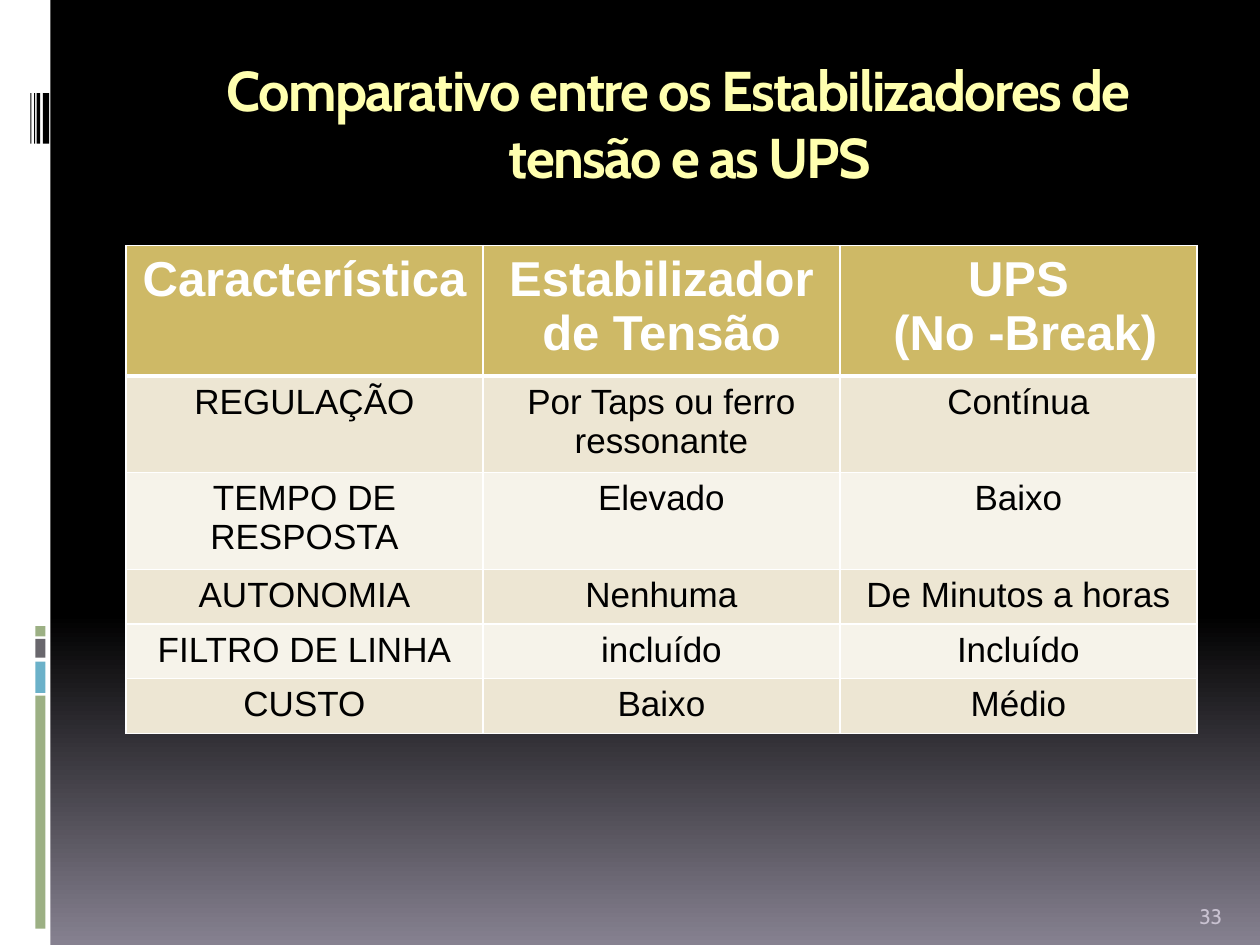
from copy import deepcopy

from lxml import etree
from pptx import Presentation
from pptx.dml.color import RGBColor
from pptx.enum.shapes import MSO_SHAPE
from pptx.enum.text import MSO_ANCHOR, PP_ALIGN
from pptx.oxml.ns import qn
from pptx.util import Inches, Pt

RECTANGLE = MSO_SHAPE.RECTANGLE
CENTER, LEFT = PP_ALIGN.CENTER, PP_ALIGN.LEFT
TOP, BOTTOM = MSO_ANCHOR.TOP, MSO_ANCHOR.BOTTOM

COLORS = {
    "black": "000000", "white": "FFFFFF", "mauve": "868190",
    "green": "9CB084", "blue": "6BB1C9", "gray": "69676D",
    "title": "FFFFAF", "number": "C9C2D1",
    "header": "CEB966", "odd": "EDE6D3", "even": "F6F3EA",
}


def write_text(frame, text, size, color, font="Arial", bold=False, align=CENTER):
    frame.word_wrap = True
    for index, line in enumerate(text.split("\n")):
        para = frame.paragraphs[0] if index == 0 else frame.add_paragraph()
        para.alignment = align
        span = para.add_run()
        span.text = line
        span.font.size = Pt(size)
        span.font.name = font
        span.font.bold = bold
        span.font.color.rgb = RGBColor.from_string(COLORS[color])


def add_border(cell, side, points):
    line = etree.SubElement(cell._tc.get_or_add_tcPr(), qn(f"a:{side}"), w=str(Pt(points)))
    fill = etree.SubElement(line, qn("a:solidFill"))
    etree.SubElement(fill, qn("a:srgbClr"), val=COLORS["white"])


deck = Presentation()
deck.slide_width, deck.slide_height = Inches(10), Inches(7.5)
page = deck.slides.add_slide(deck.slide_layouts[6])

background = page.background.fill
background.gradient()
background.gradient_angle = 270
first_stop = background.gradient_stops[0]._gs
first_stop.addnext(deepcopy(first_stop))
stops = [(0, "black"), (0.65, "black"), (1, "mauve")]
for stop, (position, color) in zip(background.gradient_stops, stops):
    stop.position = position
    stop.color.rgb = RGBColor.from_string(COLORS[color])

side_bars = [
    (0, 0, 0.4, 7.5, "white"),
    (0.28, 5.52, 0.08, 1.85, "green"),
    (0.28, 5.25, 0.08, 0.25, "blue"),
    (0.28, 5.07, 0.08, 0.15, "gray"),
    (0.28, 4.97, 0.08, 0.08, "green"),
    (0.34, 0.74, 0.05, 0.4, "black"),
    (0.29, 0.74, 0.03, 0.4, "black"),
    (0.27, 0.74, 0.01, 0.4, "black"),
    (0.24, 0.74, 0.01, 0.4, "black"),
]
for left, top, width, height, color in side_bars:
    bar = page.shapes.add_shape(
        RECTANGLE, Inches(left), Inches(top), Inches(width), Inches(height))
    bar.shadow.inherit = False
    bar.fill.solid()
    bar.fill.fore_color.rgb = RGBColor.from_string(COLORS[color])
    bar.line.fill.background()

title = page.shapes.add_textbox(Inches(0.55), Inches(0.39), Inches(8.97), Inches(0.94))
title.text_frame.vertical_anchor = TOP
write_text(title.text_frame, "Comparativo entre os Estabilizadores de tensão e as UPS",
           size=32, color="title", font="Cabin", bold=True)
title_para = title.text_frame.paragraphs[0]
title_format = title_para._p.get_or_add_pPr()
title_format.set("marL", str(Inches(0.88)))
title_format.set("indent", str(Inches(-0.19)))
title_para.runs[0].font._element.set("spc", "-100")

rows = [
    ("Característica", "Estabilizador de Tensão", "UPS\n (No -Break)"),
    ("REGULAÇÃO", "Por Taps ou ferro ressonante", "Contínua"),
    ("TEMPO DE RESPOSTA", "Elevado", "Baixo"),
    ("AUTONOMIA", "Nenhuma", "De Minutos a horas"),
    ("FILTRO DE LINHA", "incluído", "Incluído"),
    ("CUSTO", "Baixo", "Médio"),
]
table = page.shapes.add_table(
    len(rows), 3, Inches(1), Inches(1.95), Inches(8.5), Inches(0.41 * len(rows))).table
for row_index, row in enumerate(rows):
    is_header = row_index == 0
    fill_color = "header" if is_header else "odd" if row_index % 2 else "even"
    for column_index, text in enumerate(row):
        cell = table.cell(row_index, column_index)
        write_text(cell.text_frame, text, size=28 if is_header else 20,
                   color="white" if is_header else "black", bold=is_header)
        for side in ("lnL", "lnR", "lnT", "lnB"):
            thick = (row_index, side) in ((0, "lnB"), (1, "lnT"))
            add_border(cell, side, 3 if thick else 1)
        cell.fill.solid()
        cell.fill.fore_color.rgb = RGBColor.from_string(COLORS[fill_color])

number = page.shapes.add_textbox(Inches(9.42), Inches(7.02), Inches(0.5), Inches(0.4))
number.text_frame.vertical_anchor = BOTTOM
write_text(number.text_frame, "33", size=12, color="number", font="Cabin", align=LEFT)

deck.save("out.pptx")
